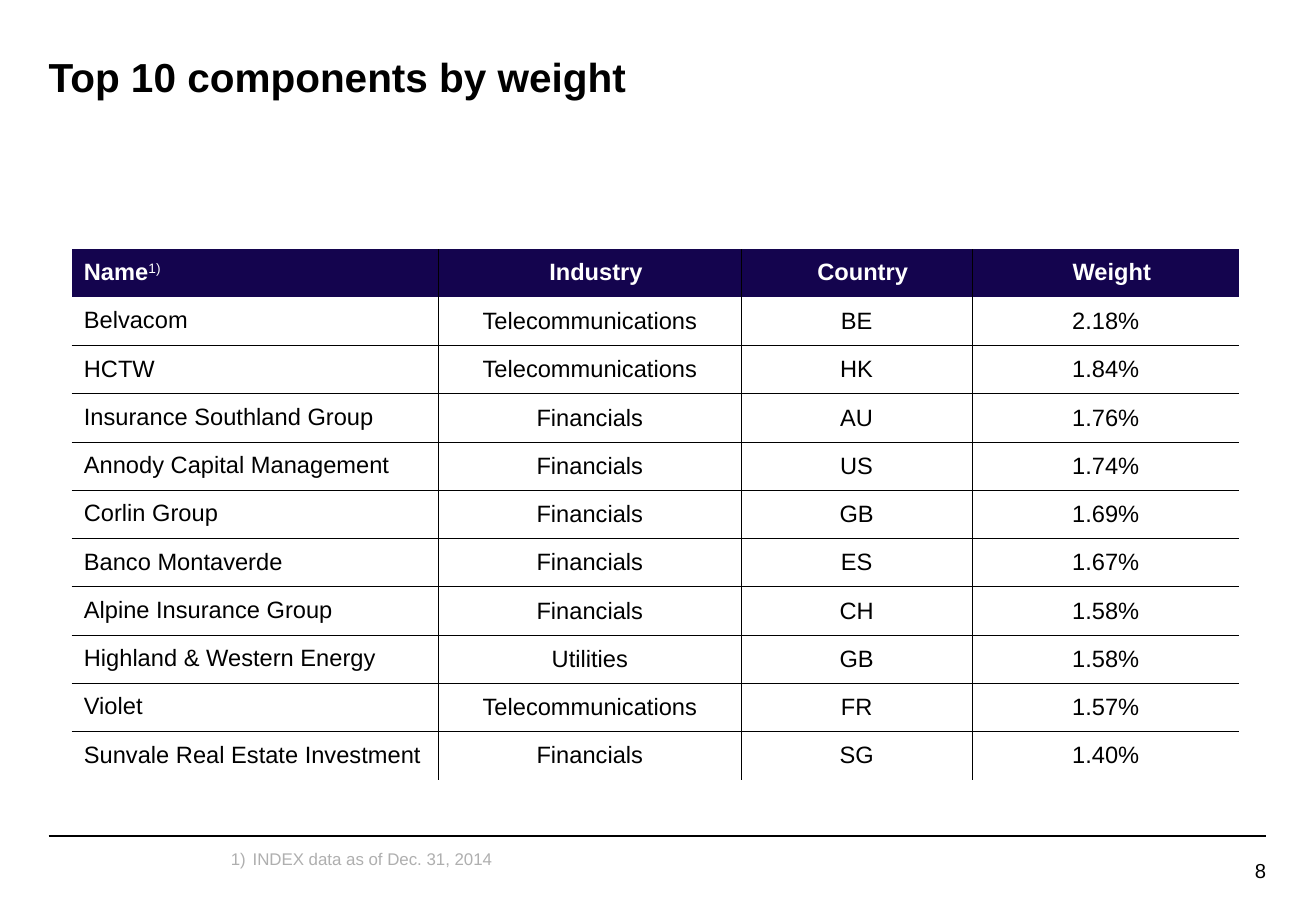
from dataclasses import dataclass

from lxml import etree
from pptx import Presentation
from pptx.dml.color import RGBColor
from pptx.enum.shapes import MSO_CONNECTOR
from pptx.enum.text import MSO_ANCHOR, MSO_AUTO_SIZE, PP_ALIGN
from pptx.oxml.ns import qn
from pptx.util import Inches, Pt

LEFT, CENTER, RIGHT = PP_ALIGN.LEFT, PP_ALIGN.CENTER, PP_ALIGN.RIGHT
TOP, MIDDLE = MSO_ANCHOR.TOP, MSO_ANCHOR.MIDDLE
NO_AUTOFIT = MSO_AUTO_SIZE.NONE
STRAIGHT = MSO_CONNECTOR.STRAIGHT


@dataclass(frozen=True)
class Theme:
    font: str = "Arial"
    black: str = "000000"
    white: str = "FFFFFF"
    navy: str = "14044E"
    gray: str = "AFAFAF"
    title_size: int = 24
    table_size: int = 14
    page_size: int = 12
    note_size: int = 10
    border: float = 0.5


theme = Theme()


def write(paragraph, text, size, color=theme.black, bold=False, align=LEFT,
          spacing=0.95, baseline=0):
    paragraph.alignment = align
    paragraph.line_spacing = spacing
    run = paragraph.add_run()
    run.text = text
    run.font.name = theme.font
    run.font.size = Pt(size)
    run.font.bold = bold
    run.font.color.rgb = RGBColor.from_string(color)
    if baseline:
        run.font._element.set("baseline", str(baseline * 1000))


def set_borders(cell, visible):
    properties = cell._tc.get_or_add_tcPr()
    for side in "LRTB":
        line = etree.SubElement(properties, qn(f"a:ln{side}"), w=str(Pt(theme.border)))
        if side in visible:
            fill = etree.SubElement(line, qn("a:solidFill"))
            etree.SubElement(fill, qn("a:srgbClr"), val=theme.black)
        else:
            etree.SubElement(line, qn("a:noFill"))


presentation = Presentation()
presentation.slide_width = Inches(10.83)
presentation.slide_height = Inches(7.5)
slide = presentation.slides.add_slide(presentation.slide_layouts[5])

# Title
title = slide.shapes.title
title.left, title.top = Inches(0.4), Inches(0.43)
title.width, title.height = Inches(10.02), Inches(0.84)
title.text_frame.vertical_anchor = TOP
write(title.text_frame.paragraphs[0], "Top 10 components by weight",
      size=theme.title_size, bold=True, spacing=1.0)

# Components table
header = ("Name", "Industry", "Country", "Weight")
components = [
    ("Belvacom", "Telecommunications", "BE", "2.18%"),
    ("HCTW", "Telecommunications", "HK", "1.84%"),
    ("Insurance Southland Group", "Financials", "AU", "1.76%"),
    ("Annody Capital Management", "Financials", "US", "1.74%"),
    ("Corlin Group", "Financials", "GB", "1.69%"),
    ("Banco Montaverde", "Financials", "ES", "1.67%"),
    ("Alpine Insurance Group", "Financials", "CH", "1.58%"),
    ("Highland & Western Energy", "Utilities", "GB", "1.58%"),
    ("Violet", "Telecommunications", "FR", "1.57%"),
    ("Sunvale Real Estate Investment", "Financials", "SG", "1.40%"),
]
rows = [header, *components]
column_widths = (3.02, 2.49, 1.9, 2.2)
last_row, last_column = len(rows) - 1, len(header) - 1

table = slide.shapes.add_table(len(rows), len(header), Inches(0.59), Inches(2.05),
                               Inches(9.61), Inches(4.37)).table
table.first_row = True
table.horz_banding = False
for column, width in zip(table.columns, column_widths):
    column.width = Inches(width)

for row_index, row in enumerate(rows):
    is_header = row_index == 0
    for column_index, text in enumerate(row):
        is_name = column_index == 0
        cell = table.cell(row_index, column_index)
        cell.vertical_anchor = MIDDLE
        cell.margin_left = Inches(0.1 if is_header or is_name else 0.01)
        cell.margin_right = Inches(0 if is_header else 0.01)
        cell.margin_top = cell.margin_bottom = Inches(0.08 if is_header or is_name else 0.01)

        # Only inner grid lines, with none under the header
        visible = ""
        visible += "L" if column_index > 0 else ""
        visible += "R" if column_index < last_column else ""
        visible += "T" if row_index > 1 else ""
        visible += "B" if 0 < row_index < last_row else ""
        set_borders(cell, visible)

        if is_header:
            cell.fill.solid()
            cell.fill.fore_color.rgb = RGBColor.from_string(theme.navy)
        else:
            cell.fill.background()
        write(cell.text_frame.paragraphs[0], text, size=theme.table_size,
              color=theme.white if is_header else theme.black, bold=is_header,
              align=LEFT if is_name else CENTER,
              spacing=0.95 if is_header or is_name else 1.0)

write(table.cell(0, 0).text_frame.paragraphs[0], "1)", size=theme.table_size,
      color=theme.white, baseline=30)

# Footer line
footer_line = slide.shapes.add_connector(STRAIGHT, Inches(0.4), Inches(6.88),
                                         Inches(10.42), Inches(6.88))
footer_line.line.color.rgb = RGBColor.from_string(theme.black)
footer_line.line.width = Pt(1)
etree.SubElement(footer_line._element.spPr, qn("a:effectLst"))

# Footnote and page number
footnote = slide.shapes.add_textbox(Inches(1.9), Inches(7), Inches(8.4), Inches(0.16))
page_number = slide.shapes.add_textbox(Inches(9.53), Inches(7.08), Inches(0.89), Inches(0.19))
for shape in (title, footnote, page_number):
    frame = shape.text_frame
    frame.word_wrap = True
    frame.auto_size = NO_AUTOFIT
    frame.margin_left = frame.margin_right = frame.margin_top = frame.margin_bottom = 0

note = footnote.text_frame.paragraphs[0]
write(note, "INDEX data as of Dec. 31, 2014", size=theme.note_size, color=theme.gray)
note_properties = note._p.get_or_add_pPr()
note_properties.set("marL", str(Inches(0.18)))
note_properties.set("indent", str(Inches(-0.18)))
etree.SubElement(note_properties, qn("a:buFont"), typeface=theme.font)
etree.SubElement(note_properties, qn("a:buAutoNum"), type="arabicParenR")

write(page_number.text_frame.paragraphs[0], "8", size=theme.page_size, align=RIGHT)

presentation.save("out.pptx")
